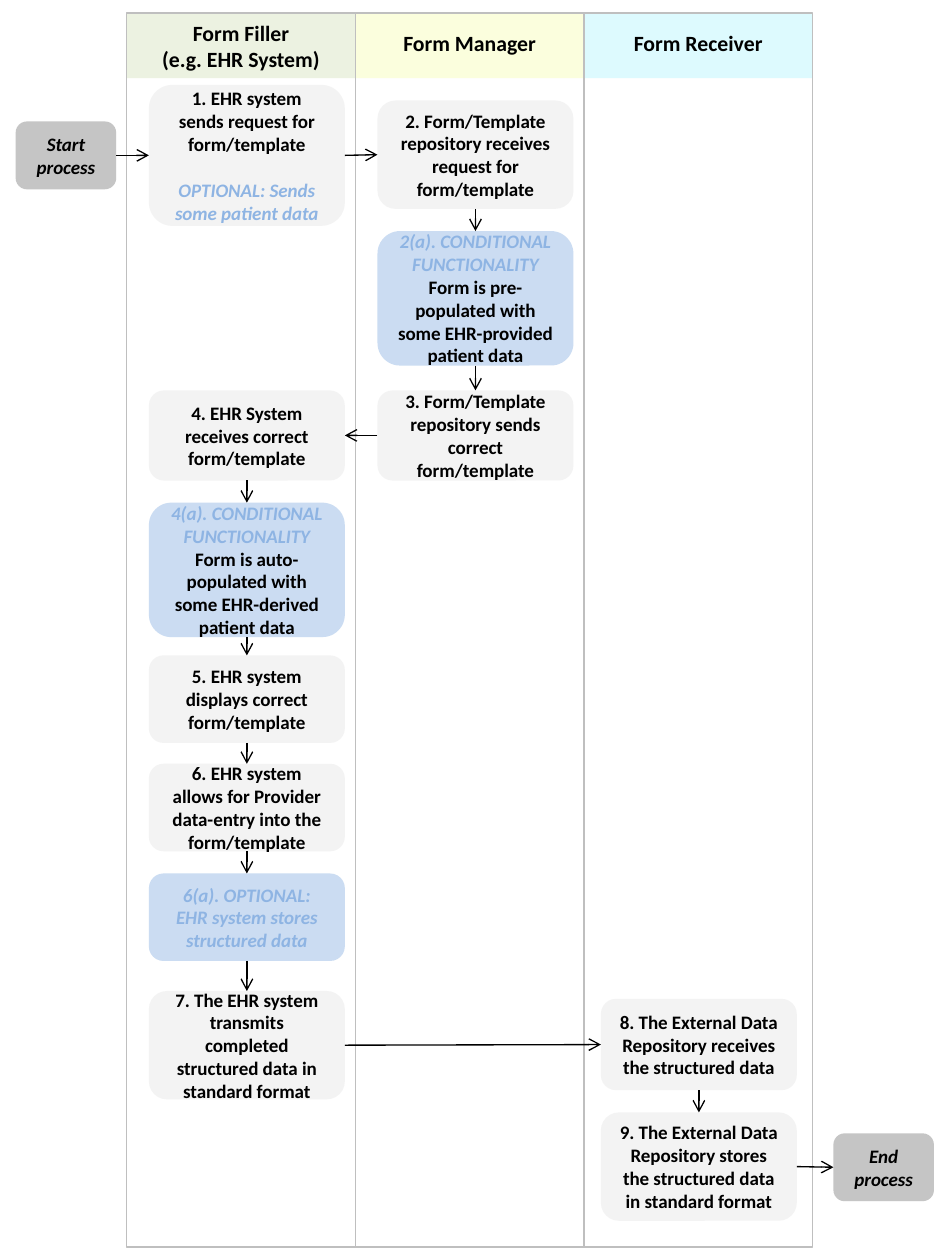
from dataclasses import dataclass

from lxml import etree
from pptx import Presentation
from pptx.dml.color import RGBColor
from pptx.enum.shapes import MSO_CONNECTOR, MSO_SHAPE
from pptx.enum.text import MSO_ANCHOR, PP_ALIGN
from pptx.oxml.ns import qn
from pptx.util import Inches, Pt

RECTANGLE = MSO_SHAPE.RECTANGLE
ROUNDED = MSO_SHAPE.ROUNDED_RECTANGLE
STRAIGHT = MSO_CONNECTOR.STRAIGHT
MIDDLE = MSO_ANCHOR.MIDDLE
CENTER = PP_ALIGN.CENTER
TOP, LEFT, BOTTOM, RIGHT = range(4)  # connection sites of a box


@dataclass(frozen=True)
class Theme:
    font: str = "Calibri"
    header_size: float = 12
    step_size: float = 10.5
    line_width: float = 0.75
    opacity: int = 90
    ink: str = "000000"
    optional_ink: str = "8EB4E3"
    lane_line: str = "BFBFBF"
    terminal: str = "BFBFBF"
    step: str = "F2F2F2"
    optional: str = "C6D9F1"


THEME = Theme()

LANE_LEFT, LANE_TOP, LANE_WIDTH, LANE_HEIGHT = 0.97, 0.1, 1.75, 9.45
HEADER_HEIGHT = 0.5
LANES = [
    ("Form Filler\v(e.g. EHR System)", "EBF1DE", 1.0),
    ("Form Manager", "FBFEDA", 0.8),
    ("Form Receiver", "DAFAFE", 0.8),
]

STEP_WIDTH = 1.5
FILLER, MANAGER, RECEIVER = 1.14, 2.89, 4.6
TERMINAL_WIDTH, TERMINAL_HEIGHT = 0.77, 0.52

# key: left, top, height, fill, plain text
STEPS = {
    "1": (FILLER, 0.65, 1.08, THEME.step,
          "1. EHR system sends request for form/template"),
    "2": (MANAGER, 0.77, 0.83, THEME.step,
          "2. Form/Template repository receives request for form/template"),
    "2a": (MANAGER, 1.77, 1.03, THEME.optional,
           "Form is pre-populated with some EHR-provided patient data"),
    "3": (MANAGER, 2.99, 0.69, THEME.step,
          "3. Form/Template repository sends correct form/template"),
    "4": (FILLER, 2.99, 0.69, THEME.step,
          "4. EHR System receives correct form/template"),
    "4a": (FILLER, 3.85, 1.03, THEME.optional,
           "Form is auto-populated with some EHR-derived patient data"),
    "5": (FILLER, 5.02, 0.67, THEME.step,
          "5. EHR system displays correct form/template"),
    "6": (FILLER, 5.85, 0.67, THEME.step,
          "6. EHR system allows for Provider data-entry into the form/template"),
    "6a": (FILLER, 6.69, 0.67, THEME.optional, None),
    "7": (FILLER, 7.59, 0.83, THEME.step,
          "7. The EHR system transmits completed structured data in standard format"),
    "8": (RECEIVER, 7.65, 0.7, THEME.step,
          "8. The External Data Repository receives the structured data"),
    "9": (RECEIVER, 8.52, 0.83, THEME.step,
          "9. The External Data Repository stores the structured data in standard format"),
}
CONDITIONS = {
    "2a": "2(a). CONDITIONAL FUNCTIONALITY",
    "4a": "4(a). CONDITIONAL FUNCTIONALITY",
    "6a": "6(a). OPTIONAL: EHR system stores structured data",
}
OPTION = "OPTIONAL: Sends some patient data"

TERMINALS = {
    "start": (0.12, 0.93, "Start process"),
    "end": (6.38, 8.68, "End process"),
}

FLOWS = [
    ("start", RIGHT, "1", LEFT),
    ("1", RIGHT, "2", LEFT),
    ("2", BOTTOM, "2a", TOP),
    ("2a", BOTTOM, "3", TOP),
    ("3", LEFT, "4", RIGHT),
    ("4", BOTTOM, "4a", TOP),
    ("4a", BOTTOM, "5", TOP),
    ("5", BOTTOM, "6", TOP),
    ("6", BOTTOM, "6a", TOP),
    ("6a", BOTTOM, "7", TOP),
    ("7", RIGHT, "8", LEFT),
    ("8", BOTTOM, "9", TOP),
    ("9", RIGHT, "end", LEFT),
]


def add_box(page, kind, left, top, width, height, fill=None):
    """Add a shape without a line, filled with a slightly clear colour if given."""
    box = page.shapes.add_shape(
        kind, Inches(left), Inches(top), Inches(width), Inches(height))
    box.shadow.inherit = False
    box.line.fill.background()
    if fill is None:
        box.fill.background()
        return box
    box.fill.solid()
    box.fill.fore_color.rgb = RGBColor.from_string(fill)
    color = box.fill._xPr.find(".//" + qn("a:srgbClr"))
    etree.SubElement(color, qn("a:alpha"), val=str(THEME.opacity * 1000))
    box.text_frame.word_wrap = True
    box.text_frame.vertical_anchor = MIDDLE
    return box


def add_text(box, text, size=THEME.step_size, color=THEME.ink, italic=False):
    """Fill the first paragraph of the box, or add one after existing text."""
    frame = box.text_frame
    para = frame.add_paragraph() if frame.text else frame.paragraphs[0]
    para.text = text
    para.alignment = CENTER
    font = para.font
    font.name, font.size = THEME.font, Pt(size)
    font.bold, font.italic = True, italic
    font.color.rgb = RGBColor.from_string(color)
    return para


def add_lanes(page):
    lefts = [LANE_LEFT + LANE_WIDTH * index for index in range(len(LANES))]
    for left, (title, fill, spacing) in zip(lefts, LANES):
        header = add_box(
            page, RECTANGLE, left, LANE_TOP, LANE_WIDTH, HEADER_HEIGHT, fill)
        add_text(header, title, THEME.header_size).line_spacing = spacing
    for left in lefts:
        lane = add_box(page, RECTANGLE, left, LANE_TOP, LANE_WIDTH, LANE_HEIGHT)
        lane.line.color.rgb = RGBColor.from_string(THEME.lane_line)
        lane.line.width = Pt(THEME.line_width)


def add_step(page, key):
    left, top, height, fill, text = STEPS[key]
    box = add_box(page, ROUNDED, left, top, STEP_WIDTH, height, fill)
    if key in CONDITIONS:
        add_text(box, CONDITIONS[key], color=THEME.optional_ink, italic=True)
    if text:
        add_text(box, text)
    return box


def add_terminal(page, left, top, text):
    box = add_box(
        page, ROUNDED, left, top, TERMINAL_WIDTH, TERMINAL_HEIGHT, THEME.terminal)
    add_text(box, text, italic=True)
    return box


def add_arrow(page, source, source_site, target, target_site):
    arrow = page.shapes.add_connector(STRAIGHT, 0, 0, 0, 0)
    arrow.begin_connect(source, source_site)
    arrow.end_connect(target, target_site)
    arrow.line.color.rgb = RGBColor.from_string(THEME.ink)
    arrow.line.width = Pt(THEME.line_width)
    etree.SubElement(arrow.line._get_or_add_ln(), qn("a:tailEnd"), type="arrow")
    etree.SubElement(arrow._element.spPr, qn("a:effectLst"))


def main():
    deck = Presentation()
    deck.slide_width, deck.slide_height = Inches(7.28), Inches(9.65)
    page = deck.slides.add_slide(deck.slide_layouts[6])

    add_lanes(page)
    boxes = {key: add_step(page, key) for key in STEPS}
    option = add_text(boxes["1"], OPTION, color=THEME.optional_ink, italic=True)
    option.space_before = Pt(12.8)
    for key, terminal in TERMINALS.items():
        boxes[key] = add_terminal(page, *terminal)
    for source, source_site, target, target_site in FLOWS:
        add_arrow(page, boxes[source], source_site, boxes[target], target_site)

    deck.save("out.pptx")


if __name__ == "__main__":
    main()
